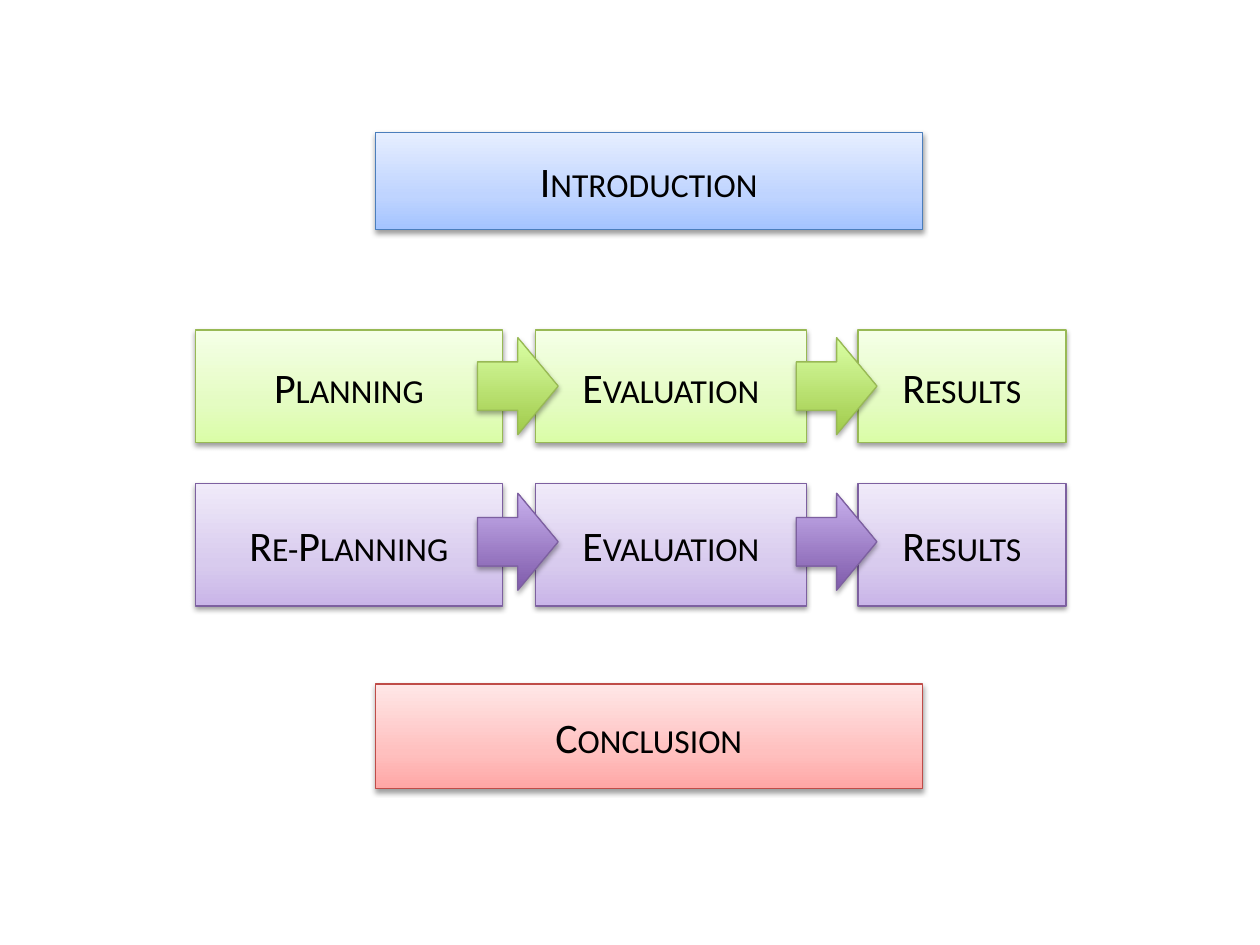
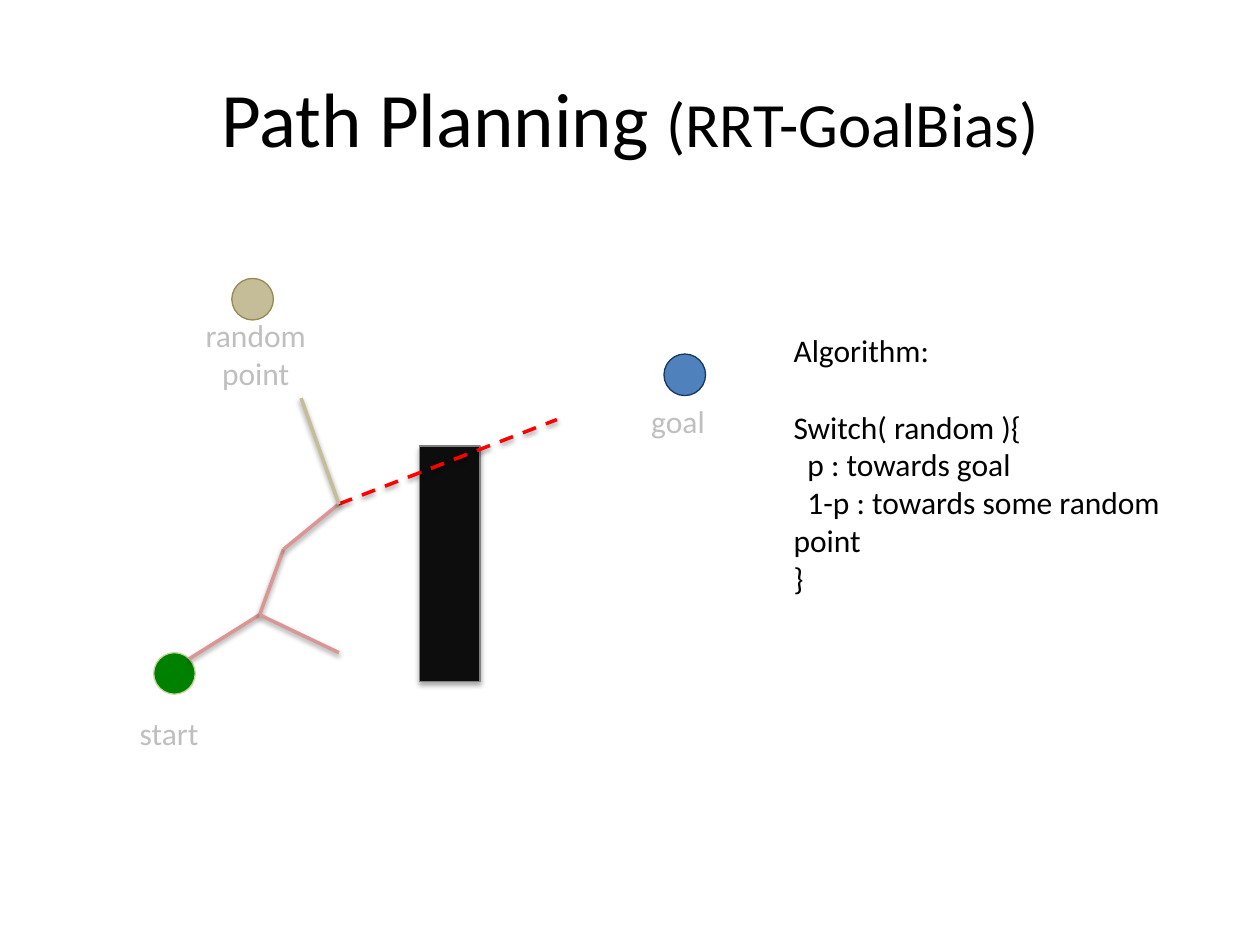
from dataclasses import dataclass

from lxml import etree
from pptx import Presentation
from pptx import util as u
from pptx.dml.color import RGBColor
from pptx.enum import dml, shapes, text
from pptx.oxml import ns

KIND = shapes.MSO_SHAPE
ALIGN = text.PP_ALIGN
ANCHOR = text.MSO_ANCHOR


@dataclass(frozen=True)
class Tone:
    edge: str
    box: tuple
    arrow: tuple = ()


@dataclass(frozen=True)
class Theme:
    font: str = "Calibri"
    ink: str = "000000"
    faint: str = "BFBFBF"
    wall: str = "0D0D0D"
    rim: str = "808080"
    start: tuple = ("008000", "C3D69B")
    goal: tuple = ("4F81BD", "17375E")
    point: tuple = ("C4BD97", "948A54")
    tree: str = "D99694"
    alert: str = "FF0000"
    blue: Tone = Tone("4B7EBC", ((0, "A4C4FF"), (35, "BFD4FF"), (100, "E6EEFF")))
    green: Tone = Tone("98B955", ((0, "DAFDA7"), (35, "E4FCC2"), (100, "F5FFE7")),
                       ((0, "A0CA4A"), (100, "DAFFA5")))
    violet: Tone = Tone("7D60A0", ((0, "C9B5E8"), (35, "D8CBEE"), (100, "F0EAF9")),
                        ((0, "7F5BAB"), (100, "C8B0ED")))
    red: Tone = Tone("BF4C48", ((0, "FFA6A5"), (35, "FFC0BF"), (100, "FFE7E7")))
    head: int = 44
    sub: int = 36
    step: int = 24
    body: int = 18
    thin: float = 0.75
    thick: float = 2
    soft: tuple = (38, 1.6)
    hard: tuple = (35, 1.8)


THEME = Theme()
COLS, ROWS = 100, 75


def rgb(code):
    return RGBColor.from_string(code)


def child(node, tag, **attrs):
    return etree.SubElement(node, ns.qn(tag), {k: str(v) for k, v in attrs.items()})


def write(frame, words, size=THEME.body, color=THEME.ink, align=ALIGN.LEFT,
          caps=False, join=False, indent=0, after=0, fresh=True):
    for n, line in enumerate(words.split("\n")):
        first = n == 0 and fresh
        para = frame.paragraphs[-1] if first or join else frame.add_paragraph()
        para.alignment = align
        if after:
            para.space_after = u.Pt(after)
        if indent:
            para._p.get_or_add_pPr().set("indent", str(u.Inches(indent)))
        run = para.add_run()
        run.text = line
        run.font.name = THEME.font
        run.font.size = u.Pt(size)
        run.font.color.rgb = rgb(color)
        if caps:
            run._r.get_or_add_rPr().set("cap", "small")


class Deck:
    def __init__(self):
        self.show = Presentation()
        self.show.slide_width = u.Inches(10)
        self.show.slide_height = u.Inches(7.5)
        self.col = self.show.slide_width / COLS
        self.row = self.show.slide_height / ROWS
        self.slide = None

    def page(self, layout):
        self.slide = self.show.slides.add_slide(self.show.slide_layouts[layout])

    def spot(self, x, y):
        return round(x * self.col), round(y * self.row)

    def place(self, x, y, w, h):
        return *self.spot(x, y), *self.spot(w, h)

    def title(self, main, note):
        head = self.slide.shapes.title
        head.left, head.top, head.width, head.height = self.place(5, 3, 90, 12.5)
        frame = head.text_frame
        frame.vertical_anchor = ANCHOR.MIDDLE
        write(frame, main, size=THEME.head, align=ALIGN.CENTER)
        write(frame, note, size=THEME.sub, align=ALIGN.CENTER, join=True)

    def shade(self, item, look):
        alpha, gap = look
        spot = item._element.spPr
        list_ = spot.find(ns.qn("a:effectLst"))
        if list_ is None:
            list_ = child(spot, "a:effectLst")
        cast = child(list_, "a:outerShdw", blurRad=u.Pt(3.1), dist=u.Pt(gap),
                     dir=5400000, rotWithShape=0)
        tint = child(cast, "a:srgbClr", val="000000")
        child(tint, "a:alpha", val=alpha * 1000)

    def shape(self, kind, area, fill, edge, look=None):
        item = self.slide.shapes.add_shape(kind, *self.place(*area))
        item.shadow.inherit = False
        if isinstance(fill, str):
            item.fill.solid()
            item.fill.fore_color.rgb = rgb(fill)
        else:
            item.fill.gradient()
            item.fill.gradient_angle = 90
            stops = item._element.spPr.find(".//" + ns.qn("a:gsLst"))
            stops.clear()
            for at, code in fill:
                child(child(stops, "a:gs", pos=at * 1000), "a:srgbClr", val=code)
        item.line.color.rgb = rgb(edge)
        item.line.width = u.Pt(THEME.thin)
        if look:
            self.shade(item, look)
        return item

    def box(self, words, area, tone, wrap=True):
        item = self.shape(KIND.RECTANGLE, area, tone.box, tone.edge, THEME.soft)
        frame = item.text_frame
        frame.word_wrap = wrap
        frame.vertical_anchor = ANCHOR.MIDDLE
        write(frame, words, size=THEME.step, align=ALIGN.CENTER, caps=True)

    def arrow(self, x, y, tone):
        self.shape(KIND.RIGHT_ARROW, (x, y, 6.4, 7.7), tone.arrow, tone.edge, THEME.hard)

    def dot(self, x, y, pair):
        self.shape(KIND.FLOWCHART_CONNECTOR, (x, y, 3.3, 3.3), *pair)

    def note(self, area, wrap=False):
        frame = self.slide.shapes.add_textbox(*self.place(*area)).text_frame
        frame.word_wrap = wrap
        frame.auto_size = text.MSO_AUTO_SIZE.SHAPE_TO_FIT_TEXT
        return frame

    def label(self, words, area, align=ALIGN.LEFT):
        write(self.note(area), words, color=THEME.faint, align=align)

    def line(self, start, end, color, dash=False):
        item = self.slide.shapes.add_connector(
            shapes.MSO_CONNECTOR.STRAIGHT, *self.spot(*start), *self.spot(*end))
        item.line.color.rgb = rgb(color)
        item.line.width = u.Pt(THEME.thick)
        if dash:
            item.line.dash_style = dml.MSO_LINE.DASH
        self.shade(item, THEME.soft)


def outline(deck):
    deck.page(6)
    spans = ((15.5, 24.4), (42.5, 21.5), (68.1, 16.5))
    tracks = (("Planning", 26.2, 8.9, 26.8, THEME.green),
              ("Re-Planning", 38.4, 9.7, 39.15, THEME.violet))
    deck.box("Introduction", (29.8, 10.5, 43.4, 7.7), THEME.blue)
    for name, top, tall, _, tone in tracks:
        for words, (x, wide) in zip((name, "Evaluation", "Results"), spans):
            deck.box(words, (x, top, wide, tall), tone, wrap=False)
    deck.box("Conclusion", (29.8, 54.3, 43.4, 8.3), THEME.red)
    for _, _, _, y, tone in tracks:
        for x in (37.9, 63.2):
            deck.arrow(x, y, tone)


def planner(deck):
    deck.page(5)
    deck.title("Path Planning ", "(RRT-GoalBias)")
    deck.dot(12.2, 51.8, THEME.start)
    deck.dot(52.7, 28.1, THEME.goal)
    deck.shape(KIND.RECTANGLE, (33.3, 35.4, 4.8, 18.7), THEME.wall, THEME.rim, THEME.hard)
    deck.label("goal", (50.7, 31.4, 6.8, 4))
    deck.label("start", (10.1, 56.2, 6.9, 4))

    root, fork, bend, tip = (15, 52.3), (20.6, 48.8), (22.5, 43.6), (26.9, 40)
    for pair in ((root, fork), (fork, bend), (fork, (26.9, 51.8)), (bend, tip)):
        deck.line(*pair, THEME.tree)
    deck.line(tip, (44.2, 33.3), THEME.alert, dash=True)

    deck.dot(18.4, 22.1, THEME.point)
    deck.label("random\npoint", (15, 24.6, 10.6, 7.1), align=ALIGN.CENTER)
    deck.line(tip, (23.9, 31.6), THEME.point[0])

    frame = deck.note((62, 25.8, 33, 22.2), wrap=True)
    write(frame, "Algorithm:", after=22)
    write(frame, "Switch( random ){", fresh=False)
    write(frame, "p : towards goal\n1-p : towards some random point",
          indent=0.11, fresh=False)
    write(frame, "}", fresh=False)


deck = Deck()
outline(deck)
planner(deck)
deck.show.save("out.pptx")
